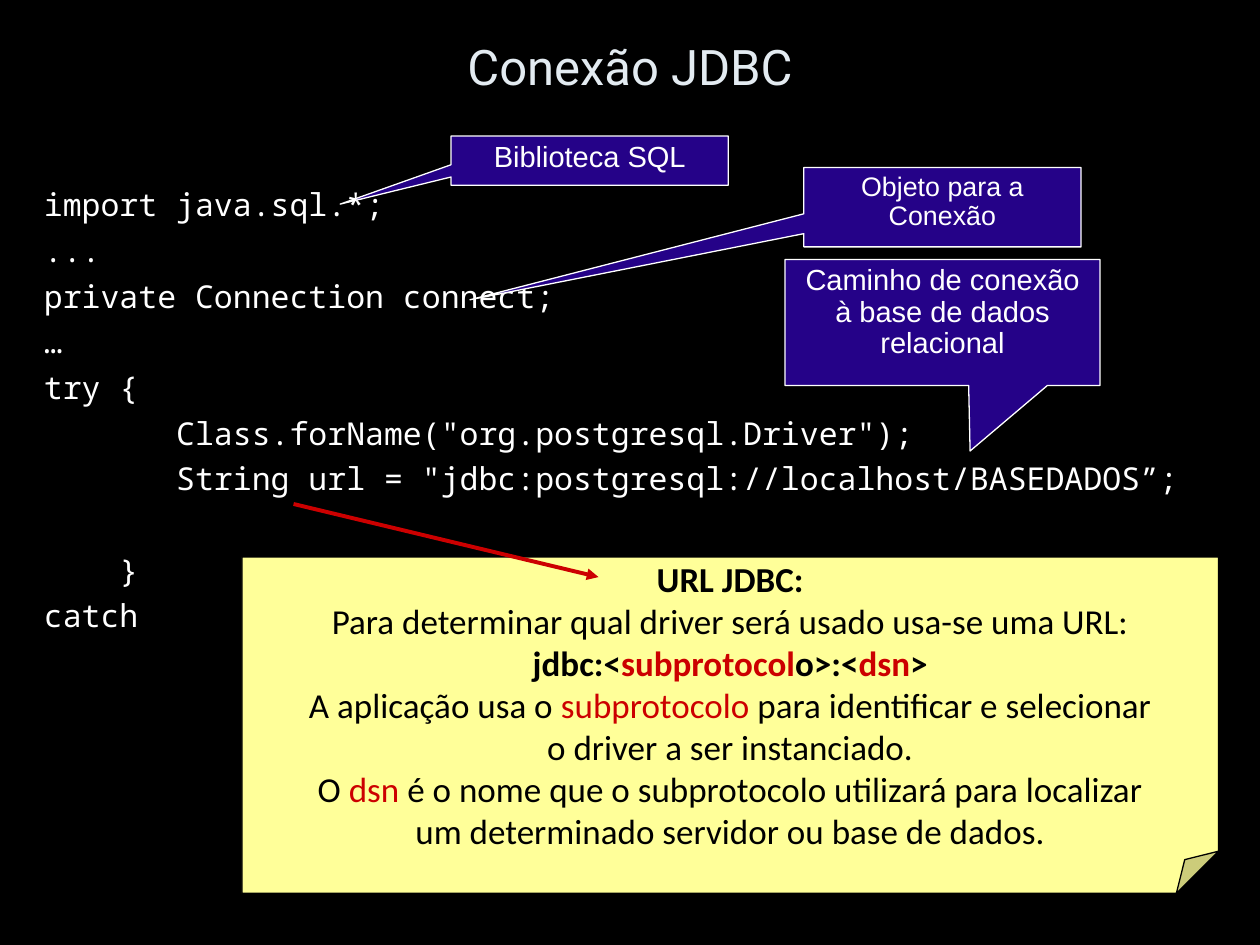
from pptx import Presentation
from pptx.dml.color import RGBColor
from pptx.enum.shapes import MSO_CONNECTOR as Line, MSO_SHAPE as Preset
from pptx.enum.text import MSO_ANCHOR as Anchor, PP_ALIGN as Align
from pptx.oxml.ns import qn
from pptx.util import Inches, Pt
from lxml.etree import SubElement

COLOURS = {
    "back": "000000",
    "title": "E3EBF1",
    "light": "FFFFFF",
    "dark": "000000",
    "callout": "250288",
    "note": "FFFF99",
    "accent": "CC0000",
}
COLUMNS, ROWS = 100, 75
CODE_SIZE = 18
CODE_GAP = 4.5
CODE_LINE = 21.6
CHAR_WIDTH = 0.6 * CODE_SIZE


def colour(name):
    return RGBColor.from_string(COLOURS[name])


def write(frame, paragraphs, *, size, font, ink, align=Align.LEFT,
          anchor=Anchor.TOP, wrap=True, spacing=None):
    """Fill a frame; a paragraph is a string or a list of (text, bold, ink) spans."""
    frame.word_wrap = wrap
    frame.vertical_anchor = anchor
    frame.margin_left = frame.margin_right = Inches(0.1)
    frame.margin_top = frame.margin_bottom = Inches(0.05)
    for index, content in enumerate(paragraphs):
        para = frame.add_paragraph() if index else frame.paragraphs[0]
        para.alignment = align
        if spacing:
            para.line_spacing = spacing
        spans = [(content, False, ink)] if isinstance(content, str) else content
        for text, bold, span_ink in spans:
            span = para.add_run()
            span.text = text
            span.font.name = font
            span.font.size = Pt(size)
            span.font.bold = bold
            span.font.color.rgb = colour(span_ink)
    return frame


class Slide:
    """One page with its grid and the styles of its elements."""

    def __init__(self, deck):
        self.page = deck.slides.add_slide(deck.slide_layouts[6])
        self.column = deck.slide_width / COLUMNS
        self.row = deck.slide_height / ROWS
        fill = self.page.background.fill
        fill.solid()
        fill.fore_color.rgb = colour("back")

    def place(self, *lengths):
        """Turn alternating columns and rows into slide lengths."""
        units = (self.column, self.row)
        return [round(value * units[i % 2]) for i, value in enumerate(lengths)]

    def title(self, text, area):
        box = self.page.shapes.add_textbox(*self.place(*area))
        write(box.text_frame, [text], size=28, font="Roboto", ink="title",
              align=Align.CENTER, anchor=Anchor.MIDDLE)

    def code(self, lines, area):
        """Lines are (indent in characters, blank lines above, text)."""
        box = self.page.shapes.add_textbox(*self.place(*area))
        frame = write(box.text_frame, [text for _, _, text in lines],
                      size=CODE_SIZE, font="Noto Sans Mono", ink="light")
        for para, (indent, blanks, _) in zip(frame.paragraphs, lines):
            para.space_before = Pt(CODE_GAP + blanks * (CODE_GAP + CODE_LINE))
            para._p.get_or_add_pPr().set("marL", str(Pt(indent * CHAR_WIDTH)))

    def shape(self, preset, area, fill, line):
        box = self.page.shapes.add_shape(preset, *self.place(*area))
        box.shadow.inherit = False
        box.fill.solid()
        box.fill.fore_color.rgb = colour(fill)
        box.line.color.rgb = colour(line)
        box.line.width = Pt(0.75)
        return box

    def callout(self, text, area, tip, size):
        """Tip is the pointer's end, in columns and rows."""
        left, top, width, height = area
        box = self.shape(Preset.RECTANGULAR_CALLOUT, area, "callout", "light")
        box.adjustments[0] = (tip[0] - left) / width - 0.5
        box.adjustments[1] = (tip[1] - top) / height - 0.5
        write(box.text_frame, [text], size=size, font="Arial", ink="light",
              align=Align.CENTER, spacing=0.9)

    def note(self, paragraphs, area):
        box = self.shape(Preset.FOLDED_CORNER, area, "note", "dark")
        # python-pptx lists no adjustment for this preset, so the fold is set in XML.
        guides = box._element.spPr.find(qn("a:prstGeom")).get_or_add_avLst()
        SubElement(guides, qn("a:gd"), name="adj", fmla="val 12500")
        write(box.text_frame, paragraphs, size=20, font="Calibri", ink="dark",
              align=Align.CENTER, anchor=Anchor.MIDDLE, wrap=False)

    def arrow(self, start, end):
        arrow = self.page.shapes.add_connector(Line.STRAIGHT, *self.place(*start, *end))
        arrow.line.color.rgb = colour("accent")
        arrow.line.width = Pt(2.25)
        SubElement(arrow.line._get_or_add_ln(), qn("a:tailEnd"), type="triangle")
        SubElement(arrow._element.spPr, qn("a:effectLst"))


def main():
    deck = Presentation()
    deck.slide_width, deck.slide_height = Inches(10), Inches(7.5)
    slide = Slide(deck)

    slide.title("Conexão JDBC", (0, 1.1, 100, 8.3))
    slide.code([
        (0, 0, "import java.sql.*;"),
        (0, 0, "..."),
        (0, 0, "private Connection connect;"),
        (0, 0, "…"),
        (0, 0, "try {"),
        (7, 0, 'Class.forName("org.postgresql.Driver");'),
        (7, 0, 'String url = "jdbc:postgresql://localhost/BASEDADOS”;'),
        (4, 1, "}"),
        (0, 0, "catch"),
    ], (2.5, 14.2, 94.4, 55.8))

    for text, area, tip, size in [
        ("Biblioteca SQL", (35.8, 10.8, 22, 3.9), (27, 16.2), 16.6),
        ("Objeto para a Conexão", (63.8, 13.3, 22, 6.3), (37.3, 23.8), 15.3),
        ("Caminho de conexão à base de dados relacional",
         (62.3, 20.6, 25, 10), (77, 35.8), 16.6),
    ]:
        slide.callout(text, area, tip, size)

    slide.note([
        [("URL JDBC:", True, "dark")],
        "Para determinar qual driver será usado usa-se uma URL:",
        [("jdbc:<", True, "dark"), ("subprotocol", True, "accent"),
         ("o>:<", True, "dark"), ("dsn", True, "accent"), (">", True, "dark")],
        [("A aplicação usa o ", False, "dark"), ("subprotocolo", False, "accent"),
         (" para identificar e selecionar", False, "dark")],
        "o driver a ser instanciado.",
        [("O ", False, "dark"), ("dsn ", False, "accent"),
         ("é o nome que o subprotocolo utilizará para localizar", False, "dark")],
        "um determinado servidor ou base de dados.",
    ], (19.2, 44.2, 77.5, 26.7))
    slide.arrow((23.3, 40), (47.5, 45.8))

    deck.save("out.pptx")


if __name__ == "__main__":
    main()
